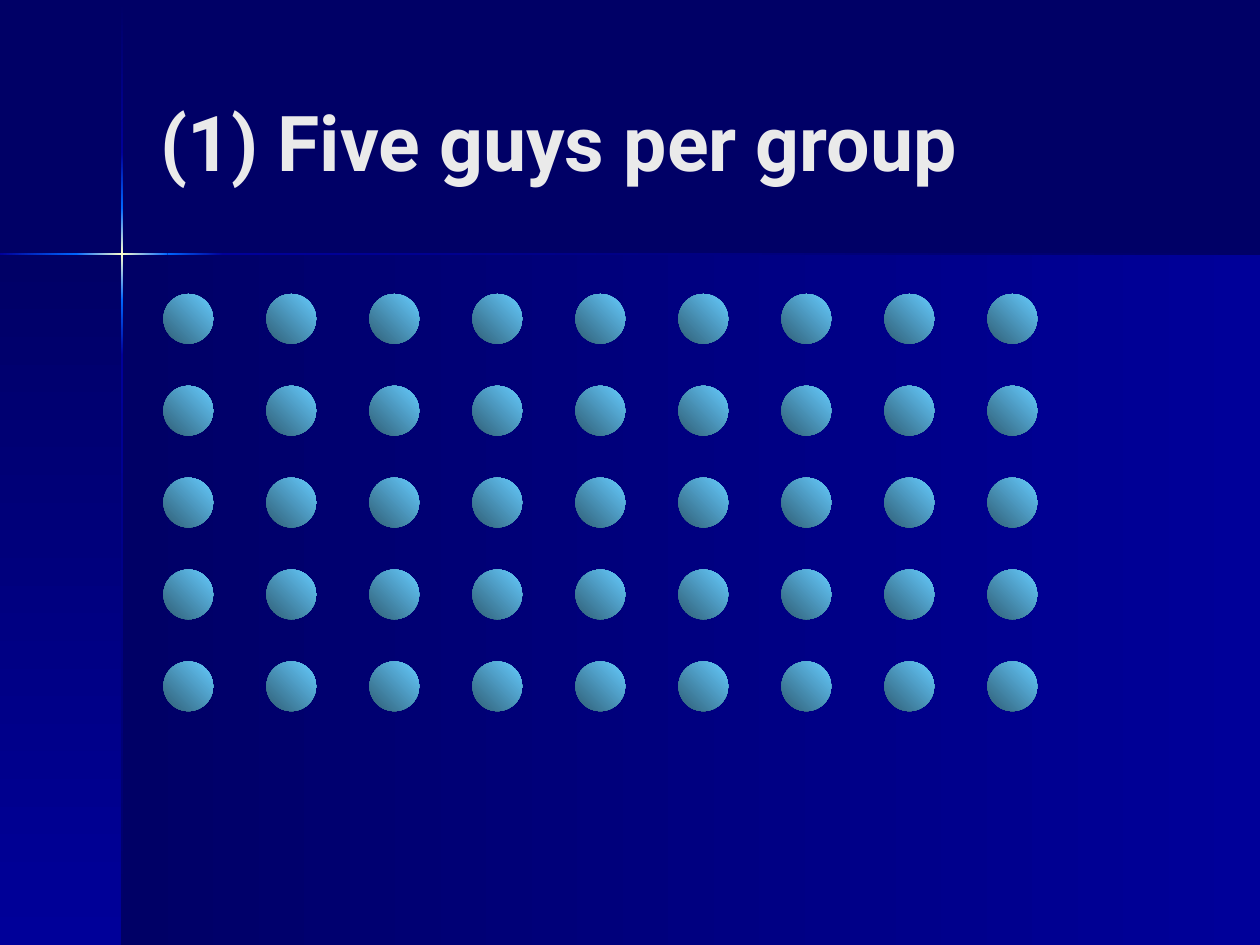
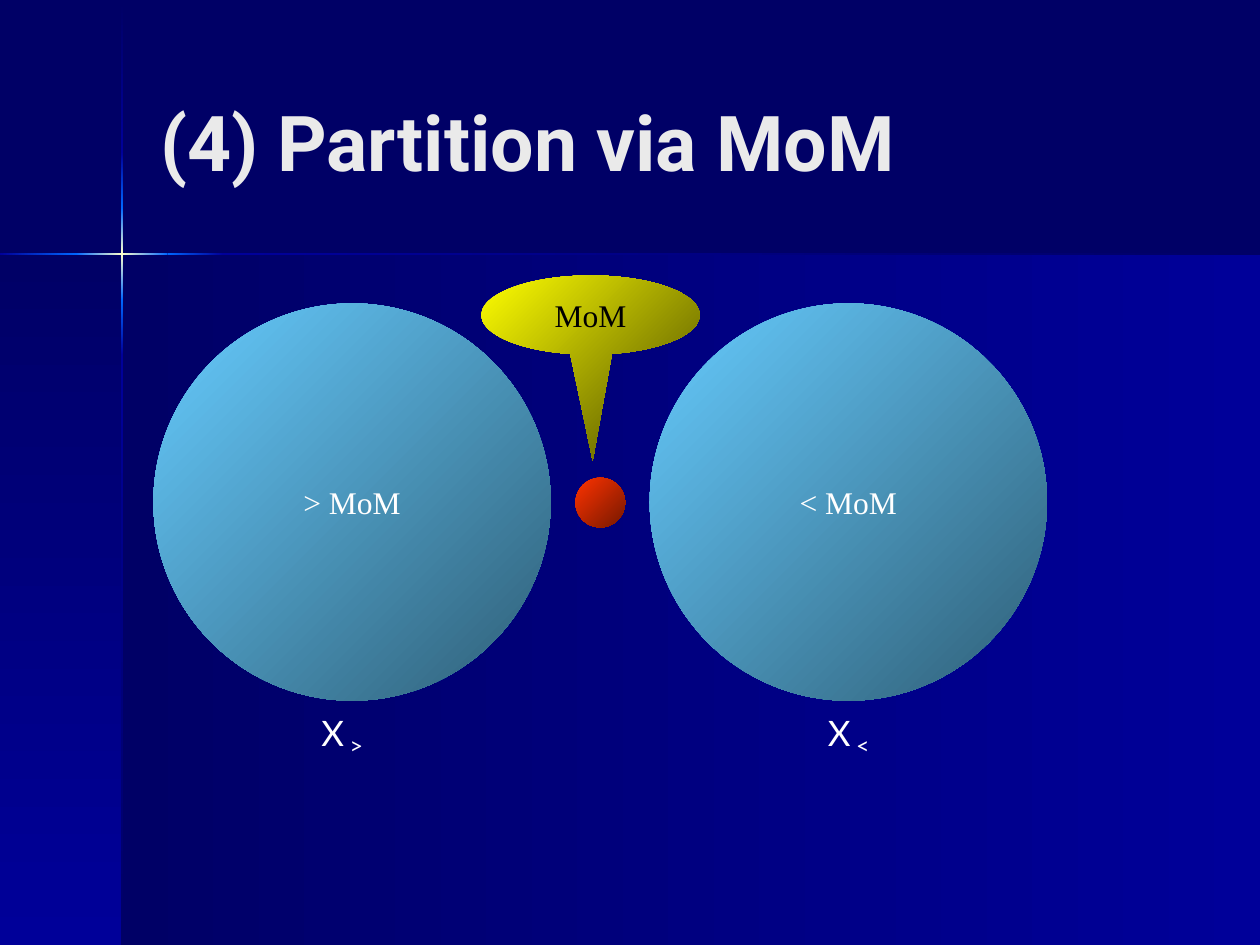
import pptx
import pptx.dml.color
import pptx.enum.shapes
import pptx.enum.text
import pptx.oxml
import pptx.oxml.ns
import pptx.util

Pt = pptx.util.Pt
Shape = pptx.enum.shapes.MSO_SHAPE
Anchor = pptx.enum.text.MSO_ANCHOR
Align = pptx.enum.text.PP_ALIGN

# Colours and type
THEME = {
    "night": "000066", "navy": "000099", "blue": "0066FF", "glow": "FFFFCC",
    "sky": "66CCFF", "slate": "2F5E76", "red": "FF3300", "maroon": "761800",
    "yellow": "FFFF00", "olive": "767600",
    "title": {"name": "Roboto", "size": Pt(44), "bold": True, "color": "EAEAEA"},
    "label": {"name": "Times New Roman", "size": Pt(18), "color": "FFFFFF"},
    "callout": {"name": "Times New Roman", "size": Pt(18), "color": "000000"},
    "variable": {"name": "Lato", "size": Pt(20), "color": "FFFFFF"},
    "subscript": {"name": "Calibri", "size": Pt(14), "color": "FFFFFF"},
}


def add_gradient_shape(slide, kind, box, colors, angle):
    """Add a borderless shape with evenly spaced gradient stops, angle clockwise."""
    shape = slide.shapes.add_shape(kind, *map(Pt, box))
    shape.shadow.inherit = False
    shape.line.fill.background()
    shape.fill.background()
    stops = "".join(
        f'<a:gs pos="{100000 * index // (len(colors) - 1)}"><a:srgbClr val="{THEME[color]}"/></a:gs>'
        for index, color in enumerate(colors))
    gradient = pptx.oxml.parse_xml(
        f'<a:gradFill {pptx.oxml.ns.nsdecls("a")} rotWithShape="1"><a:gsLst>{stops}</a:gsLst>'
        f'<a:lin ang="{angle * 60000}" scaled="0"/></a:gradFill>')
    properties = shape.element.spPr
    properties.replace(properties.find(pptx.oxml.ns.qn("a:noFill")), gradient)
    return shape


def write_text(shape, text, style, alignment, **frame_format):
    """Write one paragraph and apply its frame and font formats."""
    frame = shape.text_frame
    frame.text = text
    for name, value in frame_format.items():
        setattr(frame, name, value)
    paragraph = frame.paragraphs[0]
    paragraph.alignment = alignment
    font = paragraph.runs[0].font
    for name, value in THEME[style].items():
        if name == "color":
            font.color.rgb = pptx.dml.color.RGBColor.from_string(value)
        else:
            setattr(font, name, value)


presentation = pptx.Presentation()
presentation.slide_width, presentation.slide_height = Pt(720), Pt(540)
layout = presentation.slide_layouts[5]

# Shared background and title position
background = presentation.slide_master.background.fill
background.solid()
background.fore_color.rgb = pptx.dml.color.RGBColor.from_string(THEME["night"])
title_box = {"left": 84.24, "top": 23.76, "width": 594, "height": 113.04}
for name, value in title_box.items():
    setattr(layout.placeholders[0], name, Pt(value))

# Slides with their titles
slides = []
for title in ("(1) Five guys per group", "(4) Partition via MoM"):
    slide = presentation.slides.add_slide(layout)
    write_text(slide.shapes.title, title, "title", Align.LEFT,
               vertical_anchor=Anchor.MIDDLE, auto_size=pptx.enum.text.MSO_AUTO_SIZE.NONE)
    slides.append(slide)
groups_slide, partition_slide = slides

# Shared bands and glowing cross, drawn once and moved to the layout
cross_x, cross_y, thickness = 69.84, 145.2, 1.44
bands = [
    ((cross_x, cross_y, 720 - cross_x, 540 - cross_y), ("night", "navy"), 0),
    ((0, cross_y, cross_x, 540 - cross_y), ("night", "navy"), 90),
]
vertical_stops = [(0.72, "night"), (87.12, "navy"), (118.8, "blue"),
                  (171.36, "blue"), (203.04, "navy"), (540, "night")]
horizontal_stops = [(0, "navy"), (43.56, "blue"), (95.76, "blue"),
                    (127.44, "navy"), (720, "night")]
for stops, angle in ((vertical_stops, 90), (horizontal_stops, 0)):
    for (start, first), (end, last) in zip(stops, stops[1:]):
        colors = (first, "glow", last) if first == last else (first, last)
        if angle:
            box = (cross_x - thickness / 2, start, thickness, end - start)
        else:
            box = (start, cross_y - thickness / 2, end - start, thickness)
        bands.append((box, colors, angle))
for position, (box, colors, angle) in enumerate(bands, start=2):
    band = add_gradient_shape(groups_slide, Shape.RECTANGLE, box, colors, angle)
    layout.shapes.element.insert(position, band.element)

# Groups slide: nine columns of five dots
dot_size, dots_left, dots_top = 28.4, 93.4, 168
column_pitch, row_pitch = 58.86, 52.5
for column in range(9):
    for row in range(5):
        box = (dots_left + column * column_pitch, dots_top + row * row_pitch, dot_size, dot_size)
        add_gradient_shape(groups_slide, Shape.OVAL, box, ("slate", "sky"), 315)

# Partition slide: pivot dot in the middle of the grid
pivot_box = (dots_left + 4 * column_pitch, dots_top + 2 * row_pitch, dot_size, dot_size)
add_gradient_shape(partition_slide, Shape.OVAL, pivot_box, ("red", "maroon"), 45)

# Partition slide: the two sets and their names
for sign, circle_left, name_left in ((">", 87.7, 183.6), ("<", 371.3, 473.04)):
    circle = add_gradient_shape(partition_slide, Shape.OVAL, (circle_left, 173.4, 227, 227),
                                ("sky", "slate"), 45)
    write_text(circle, f"{sign} MoM", "label", Align.CENTER,
               vertical_anchor=Anchor.MIDDLE, word_wrap=False)
    name_parts = (
        ("X", "variable", (name_left, 416.88, 16.56, 13.68), 13.68, 0),
        (sign, "subscript", (name_left + 16.56, 425.52, 12.24, 9.36), 7.92, 0.72),
    )
    for text, style, box, margin_top, margin_bottom in name_parts:
        textbox = partition_slide.shapes.add_textbox(*map(Pt, box))
        write_text(textbox, text, style, Align.LEFT, vertical_anchor=Anchor.BOTTOM,
                   word_wrap=False, margin_left=0, margin_right=0,
                   margin_top=Pt(margin_top), margin_bottom=Pt(margin_bottom))

# Partition slide: callout pointing at the pivot
callout = add_gradient_shape(partition_slide, Shape.OVAL_CALLOUT, (275.04, 157.4, 124.8, 45.2),
                             ("yellow", "olive"), 45)
callout.adjustments[0], callout.adjustments[1] = 0.01, 1.84
write_text(callout, "MoM", "callout", Align.CENTER,
           vertical_anchor=Anchor.MIDDLE, word_wrap=True)

presentation.save("out.pptx")
